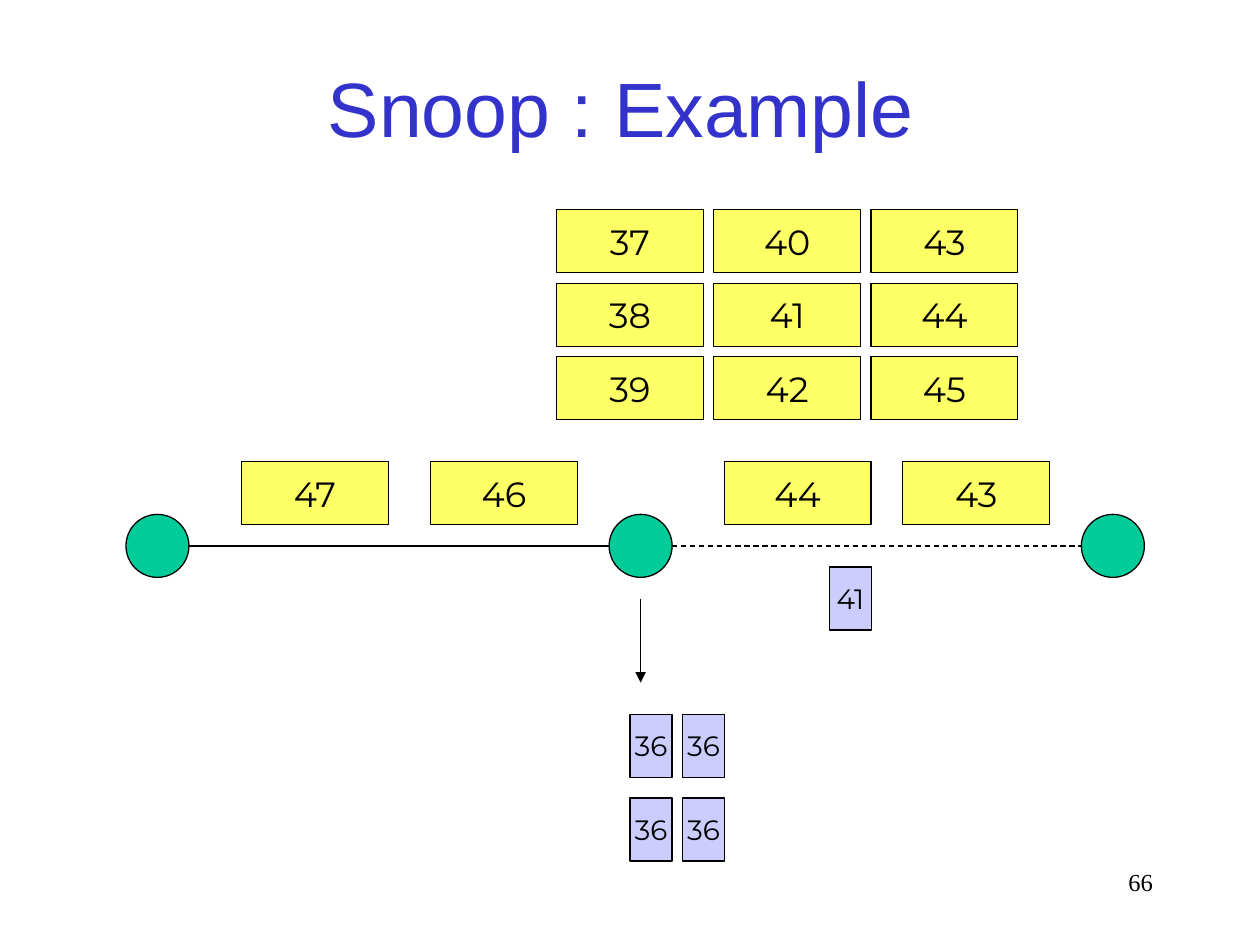
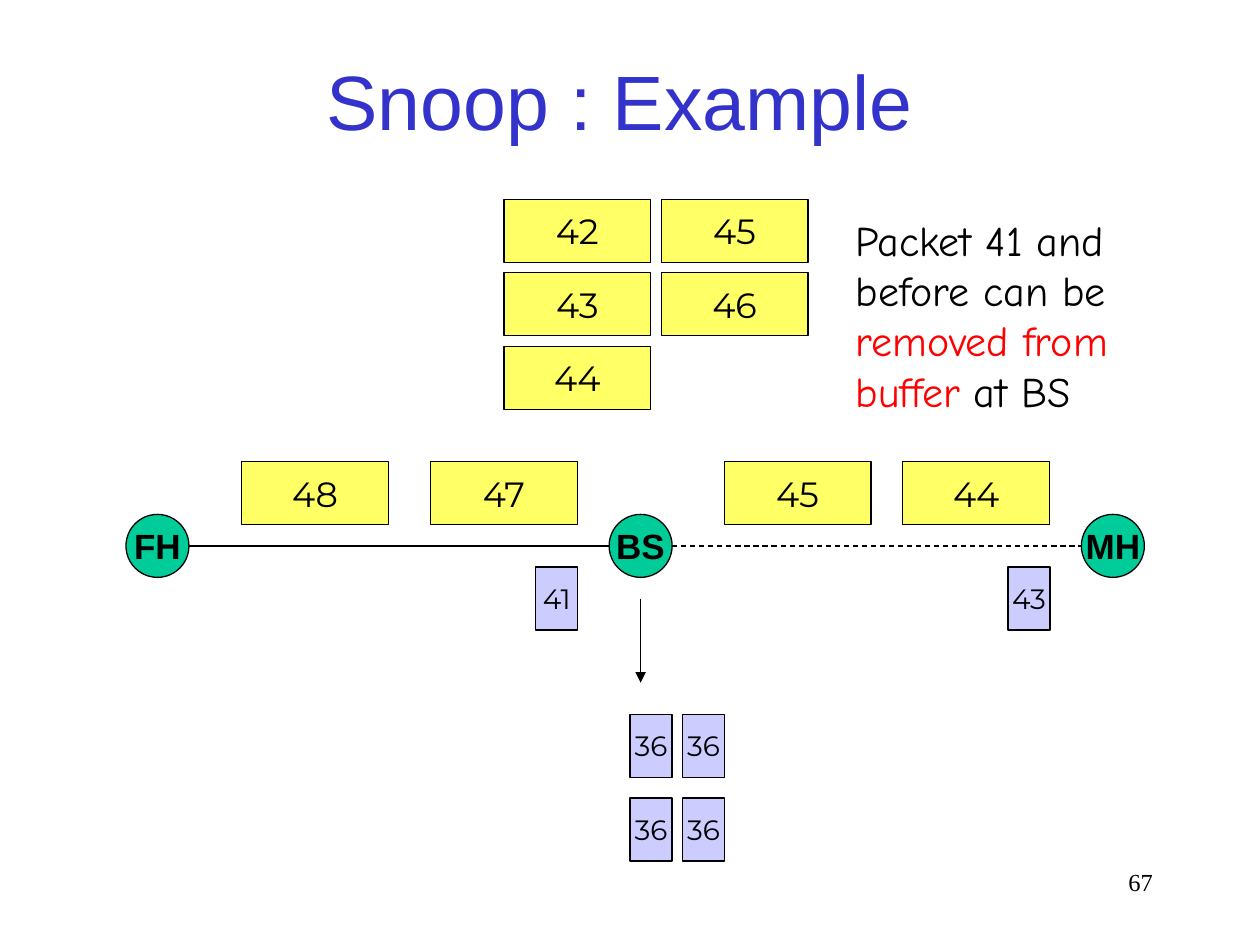
from dataclasses import dataclass
from itertools import pairwise, product
from typing import Optional

from lxml.etree import SubElement
from pptx import Presentation
from pptx.dml.color import RGBColor
from pptx.enum.dml import MSO_LINE
from pptx.enum.shapes import MSO_CONNECTOR, MSO_SHAPE
from pptx.enum.text import MSO_ANCHOR, MSO_AUTO_SIZE, PP_ALIGN
from pptx.oxml.ns import qn
from pptx.shapes.autoshape import Shape
from pptx.shapes.connector import Connector
from pptx.slide import Slide
from pptx.text.text import _Paragraph as Paragraph
from pptx.util import Cm, Pt


@dataclass(frozen=True)
class TextStyle:
    font: str
    size: int
    color: str = "000000"
    bold: bool = False


@dataclass(frozen=True)
class Theme:
    title: TextStyle = TextStyle("Arial", 44, "3333CC")
    page: TextStyle = TextStyle("Times New Roman", 14)
    note: TextStyle = TextStyle("Comic Neue", 24)
    note_key: TextStyle = TextStyle("Comic Neue", 24, "FF0000")
    line: str = "000000"
    line_width: float = 0.75


@dataclass(frozen=True)
class Kind:
    """Outline, size in cm, fill and lettering shared by all boxes of a kind."""
    outline: MSO_SHAPE
    width: float
    height: float
    fill: str
    text: TextStyle


@dataclass(frozen=True)
class Step:
    """What one slide shows of the packet exchange; lengths in cm."""
    page: int
    title_at: tuple[float, float]
    nodes: tuple[str, str, str]
    link_packets: tuple[int, int, int, int]
    acks: tuple[tuple[float, int], ...]
    buffer_at: tuple[float, float]
    buffer: range
    note: tuple[tuple[str, TextStyle], ...] = ()


THEME = Theme()
PACKET = Kind(MSO_SHAPE.RECTANGLE, 2.96, 1.27, "FFFF66", TextStyle("Montserrat", 20))
ACK = Kind(MSO_SHAPE.RECTANGLE, 0.85, 1.27, "CCCCFF", TextStyle("Montserrat", 16))
NODE = Kind(MSO_SHAPE.OVAL, 1.27, 1.27, "00CC99", TextStyle("Arial", 20, bold=True))

NODE_XS, NODE_Y = (2.54, 12.28, 21.8), 10.37
LINK_DASHES = (None, MSO_LINE.DASH)
LINK_PACKET_XS, LINK_PACKET_Y = (4.87, 8.68, 14.6, 18.2), 9.31
ACK_Y = 11.43
BUFFER_ROWS, BUFFER_DX, BUFFER_DY = 3, 3.17, 1.48
DUPLICATE_ACK, DUPLICATE_XS, DUPLICATE_YS = 36, (12.7, 13.76), (14.4, 16.09)

STEPS = (
    Step(66, (1.73, 0.56), ("", "", ""), (47, 46, 44, 43),
         ((16.72, 41),), (11.22, 4.23), range(37, 46)),
    Step(67, (1.7, 0.42), ("FH", "BS", "MH"), (48, 47, 45, 44),
         ((10.8, 41), (20.32, 43)), (10.16, 4.02), range(42, 47),
         (("Packet 41 and before can be ", THEME.note),
          ("removed from buffer", THEME.note_key),
          (" at BS", THEME.note))),
)


def add_run(p: Paragraph, text: str, style: TextStyle) -> None:
    r = p.add_run()
    r.text = text
    r.font.name = style.font
    r.font.size = Pt(style.size)
    r.font.bold = style.bold
    r.font.color.rgb = RGBColor.from_string(style.color)


def add_text(s: Slide, x: float, y: float, width: float, height: float,
             runs: tuple[tuple[str, TextStyle], ...], align: PP_ALIGN,
             anchor: MSO_ANCHOR = MSO_ANCHOR.TOP) -> Shape:
    sp = s.shapes.add_textbox(Cm(x), Cm(y), Cm(width), Cm(height))
    tf = sp.text_frame
    tf.word_wrap = True
    tf.vertical_anchor = anchor
    p = tf.paragraphs[0]
    p.alignment = align
    for text, style in runs:
        add_run(p, text, style)
    return sp


def add_box(s: Slide, kind: Kind, x: float, y: float, label: str) -> None:
    sp = s.shapes.add_shape(kind.outline, Cm(x), Cm(y), Cm(kind.width), Cm(kind.height))
    sp.shadow.inherit = False
    sp.fill.solid()
    sp.fill.fore_color.rgb = RGBColor.from_string(kind.fill)
    sp.line.color.rgb = RGBColor.from_string(THEME.line)
    sp.line.width = Pt(THEME.line_width)
    if label:
        tf = sp.text_frame
        tf.word_wrap = False
        tf.vertical_anchor = MSO_ANCHOR.MIDDLE
        p = tf.paragraphs[0]
        p.alignment = PP_ALIGN.CENTER
        add_run(p, label, kind.text)


def add_line(s: Slide, x1: float, y1: float, x2: float, y2: float,
             dash: Optional[MSO_LINE] = None) -> Connector:
    line = s.shapes.add_connector(MSO_CONNECTOR.STRAIGHT, Cm(x1), Cm(y1), Cm(x2), Cm(y2))
    line.line.color.rgb = RGBColor.from_string(THEME.line)
    line.line.width = Pt(THEME.line_width)
    if dash is not None:
        line.line.dash_style = dash
    SubElement(line._element.spPr, qn("a:effectLst"))
    return line


def add_network(s: Slide, labels: tuple[str, str, str]) -> None:
    """Three nodes, the links between them and the arrow below the middle one."""
    for x, label in zip(NODE_XS, labels):
        add_box(s, NODE, x, NODE_Y, label)
    link_y = NODE_Y + NODE.height / 2
    for (left, right), dash in zip(pairwise(NODE_XS), LINK_DASHES):
        add_line(s, left + NODE.width, link_y, right, link_y, dash)
    arrow_x = NODE_XS[1] + NODE.width / 2
    arrow = add_line(s, arrow_x, 12.07, arrow_x, 13.76)
    SubElement(arrow.line._get_or_add_ln(), qn("a:tailEnd"), type="triangle")


def add_buffer(s: Slide, left: float, top: float, packets: range) -> None:
    """Stored packets, filled column by column."""
    for i, packet in enumerate(packets):
        column, row = divmod(i, BUFFER_ROWS)
        add_box(s, PACKET, left + column * BUFFER_DX, top + row * BUFFER_DY, str(packet))


def add_step(prs: Presentation, step: Step) -> None:
    s = prs.slides.add_slide(prs.slide_layouts[6])
    add_text(s, 18.2, 17.36, 5.29, 1.27, ((str(step.page), THEME.page),), PP_ALIGN.RIGHT)
    add_text(s, *step.title_at, 21.59, 3.18, (("Snoop : Example", THEME.title),),
             PP_ALIGN.CENTER, MSO_ANCHOR.MIDDLE)
    add_network(s, step.nodes)
    for x, packet in zip(LINK_PACKET_XS, step.link_packets):
        add_box(s, PACKET, x, LINK_PACKET_Y, str(packet))
    for x, ack in step.acks:
        add_box(s, ACK, x, ACK_Y, str(ack))
    for x, y in product(DUPLICATE_XS, DUPLICATE_YS):
        add_box(s, ACK, x, y, str(DUPLICATE_ACK))
    add_buffer(s, *step.buffer_at, step.buffer)
    if step.note:
        tf = add_text(s, 17, 4.19, 6.53, 4.32, step.note, PP_ALIGN.LEFT).text_frame
        tf.auto_size = MSO_AUTO_SIZE.SHAPE_TO_FIT_TEXT
        tf.paragraphs[0].space_before = Pt(15)


def main() -> None:
    prs = Presentation()
    prs.slide_width, prs.slide_height = Cm(25.4), Cm(19.05)
    for step in STEPS:
        add_step(prs, step)
    prs.save("out.pptx")


if __name__ == "__main__":
    main()
